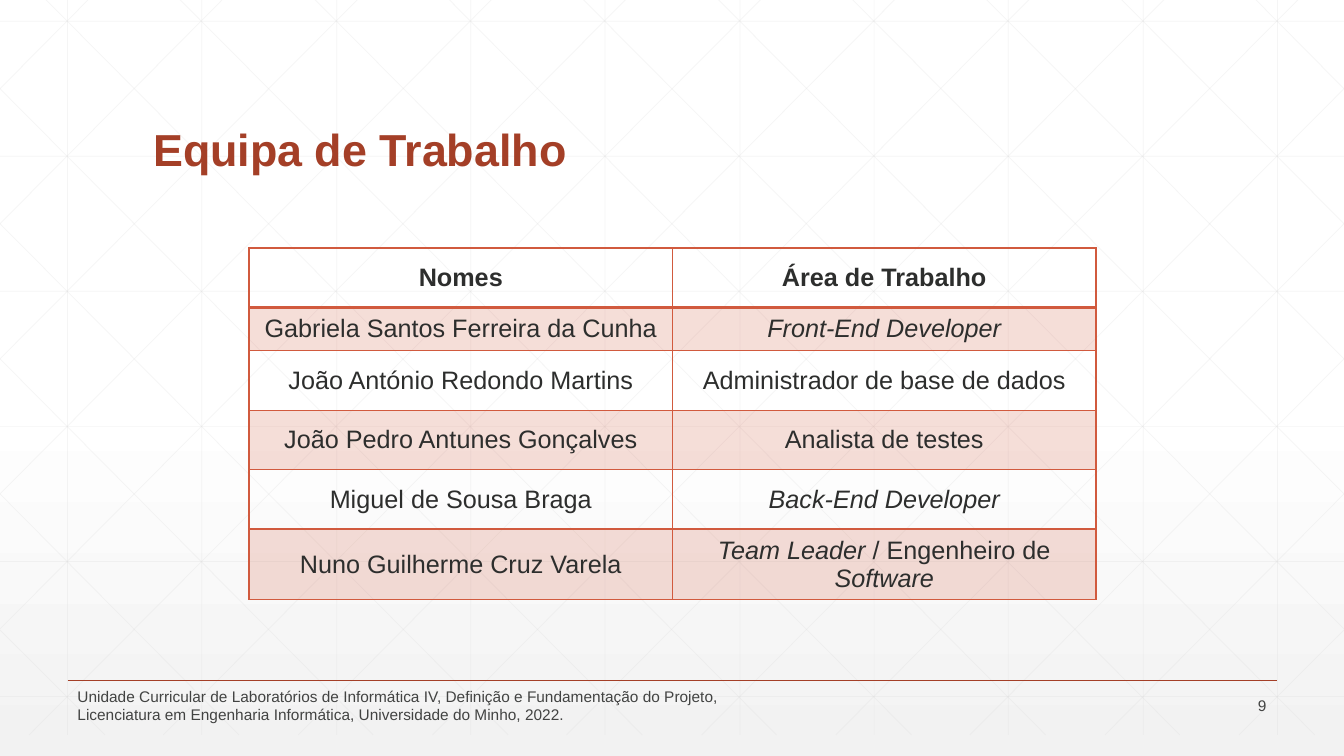
from dataclasses import dataclass

from lxml.etree import SubElement
from pptx import Presentation
from pptx.dml.color import RGBColor as RGB
from pptx.enum.shapes import MSO_CONNECTOR as Connector
from pptx.enum.text import MSO_ANCHOR as Anchor, MSO_AUTO_SIZE as AutoSize, PP_ALIGN as Align
from pptx.oxml.ns import qn
from pptx.util import Pt

EMU_PER_PX = 9144
WIDTH, HEIGHT = 1333, 750
GRID_TOP, GRID_BOTTOM = -21, 729
GRID_STEP = 400 / 3
DIAGONAL_RUN = 745.5


@dataclass(frozen=True)
class Theme:
    font: str = "Arial"
    title: str = "A43F27"
    accent: str = "D15A3E"
    text: str = "2D2E2D"
    footer: str = "424342"
    grid: str = "D9D9D9"
    bg_top: str = "FFFFFF"
    bg_bottom: str = "F2F2F2"
    title_size: int = 32
    table_size: int = 18
    footer_size: int = 11


def px(n):
    return int(n * EMU_PER_PX)


def set_alpha(element, percent):
    for color in element.iter(qn("a:srgbClr")):
        SubElement(color, qn("a:alpha"), val=str(percent * 1000))


class SlideBuilder:
    def __init__(self, prs, theme):
        self.theme = theme
        self.s = prs.slides.add_slide(prs.slide_layouts[5])

    def style(self, r, size, color, bold=False, italic=False):
        r.font.name = self.theme.font
        r.font.size = Pt(size)
        r.font.color.rgb = RGB.from_string(color)
        r.font.bold = bold
        r.font.italic = italic

    def background(self):
        fill = self.s.background.fill
        fill.gradient()
        fill.gradient_angle = 270
        stops = ((0.53, self.theme.bg_top), (1, self.theme.bg_bottom))
        for stop, (position, color) in zip(fill.gradient_stops, stops):
            stop.position = position
            stop.color.rgb = RGB.from_string(color)

    def line(self, x1, y1, x2, y2, color, width, alpha=100):
        ends = [px(round(n)) for n in (x1, y1, x2, y2)]
        c = self.s.shapes.add_connector(Connector.STRAIGHT, *ends)
        c.line.color.rgb = RGB.from_string(color)
        c.line.width = Pt(width)
        sp_pr = c.element.find(qn("p:spPr"))
        if alpha < 100:
            set_alpha(sp_pr, alpha)
        SubElement(sp_pr, qn("a:effectLst"))

    def grid_line(self, x1, y1, x2, y2):
        self.line(x1, y1, x2, y2, self.theme.grid, 0.5, alpha=25)

    def grid(self):
        for i in range(10):
            x = 67 + i * GRID_STEP
            self.grid_line(x, GRID_TOP, x, GRID_BOTTOM)
        for i in range(6):
            y = 21 + i * 134
            self.grid_line(0, y, WIDTH, y)
        slope = (GRID_BOTTOM - GRID_TOP) / DIAGONAL_RUN
        for i in range(-5, 10):
            start = 25 + i * GRID_STEP
            x1, x2 = max(start, 0), min(start + DIAGONAL_RUN, WIDTH)
            y1, y2 = (GRID_TOP + (x - start) * slope for x in (x1, x2))
            self.grid_line(x1, y1, x2, y2)
            self.grid_line(WIDTH - x1, y1, WIDTH - x2, y2)

    def title(self, text, x, y, w, h):
        sp = self.s.shapes.title
        self.s.shapes.element.append(sp.element)
        sp.left, sp.top, sp.width, sp.height = map(px, (x, y, w, h))
        tf = sp.text_frame
        tf.text = text
        tf.auto_size = AutoSize.NONE
        tf.vertical_anchor = Anchor.BOTTOM
        p = tf.paragraphs[0]
        p.alignment = Align.LEFT
        p.line_spacing = 0.9
        self.style(p.runs[0], self.theme.title_size, self.theme.title, bold=True)

    def footer(self, text, x, y, w, h, align=Align.LEFT):
        tf = self.s.shapes.add_textbox(*map(px, (x, y, w, h))).text_frame
        tf.word_wrap = True
        tf.vertical_anchor = Anchor.MIDDLE
        tf.text = text
        p = tf.paragraphs[0]
        p.alignment = align
        self.style(p.runs[0], self.theme.footer_size, self.theme.footer)

    def border(self, cell, side, width):
        tc_pr = cell._tc.get_or_add_tcPr()
        ln = SubElement(tc_pr, qn(f"a:ln{side}"), w=str(Pt(width)))
        fill = SubElement(ln, qn("a:solidFill"))
        SubElement(fill, qn("a:srgbClr"), val=self.theme.accent)

    def cell(self, cell, text, row):
        header = row == 0
        cell.vertical_anchor = Anchor.MIDDLE
        for side in "LRTB":
            thick = (header and side == "B") or (row == 1 and side == "T")
            self.border(cell, side, 2 if thick else 1)
        if row % 2:
            cell.fill.solid()
            cell.fill.fore_color.rgb = RGB.from_string(self.theme.accent)
            set_alpha(cell._tc.tcPr.find(qn("a:solidFill")), 20)
        else:
            cell.fill.background()
        p = cell.text_frame.paragraphs[0]
        p.alignment = Align.CENTER
        for i, piece in enumerate(text.split("*")):
            if piece:
                r = p.add_run()
                r.text = piece
                self.style(r, self.theme.table_size, self.theme.text, bold=header, italic=i % 2 == 1)

    def table(self, rows, x, y, col_width, row_heights):
        cols = len(rows[0])
        size = (x, y, cols * col_width, sum(row_heights))
        table = self.s.shapes.add_table(len(rows), cols, *map(px, size)).table
        table.first_row = table.horz_banding = False
        for i, (texts, height) in enumerate(zip(rows, row_heights)):
            table.rows[i].height = px(height)
            for j, text in enumerate(texts):
                self.cell(table.cell(i, j), text, i)


TEAM = [
    ("Nomes", "Área de Trabalho"),
    ("Gabriela Santos Ferreira da Cunha", "*Front-End Developer*"),
    ("João António Redondo Martins", "Administrador de base de dados"),
    ("João Pedro Antunes Gonçalves", "Analista de testes"),
    ("Miguel de Sousa Braga", "*Back-End Developer*"),
    ("Nuno Guilherme Cruz Varela", "*Team Leader */ Engenheiro de *Software*"),
]
FOOTER = (
    "Unidade Curricular de Laboratórios de Informática IV, Definição e Fundamentação do Projeto, "
    "Licenciatura em Engenharia Informática, Universidade do Minho, 2022."
)


def main():
    prs = Presentation()
    prs.slide_width, prs.slide_height = px(WIDTH), px(HEIGHT)
    theme = Theme()
    slide = SlideBuilder(prs, theme)
    slide.background()
    slide.grid()
    slide.line(67, 675, 1267, 675, theme.title, 1)
    slide.title("Equipa de Trabalho", 142, 55, 1050, 125)
    slide.footer("9", 1166, 688, 100, 24, Align.RIGHT)
    slide.footer(FOOTER, 67, 688, 670, 24)
    slide.table(TEAM, 247, 246, 420, [59, 43, 59, 59, 59, 59])
    prs.save("out.pptx")


if __name__ == "__main__":
    main()
